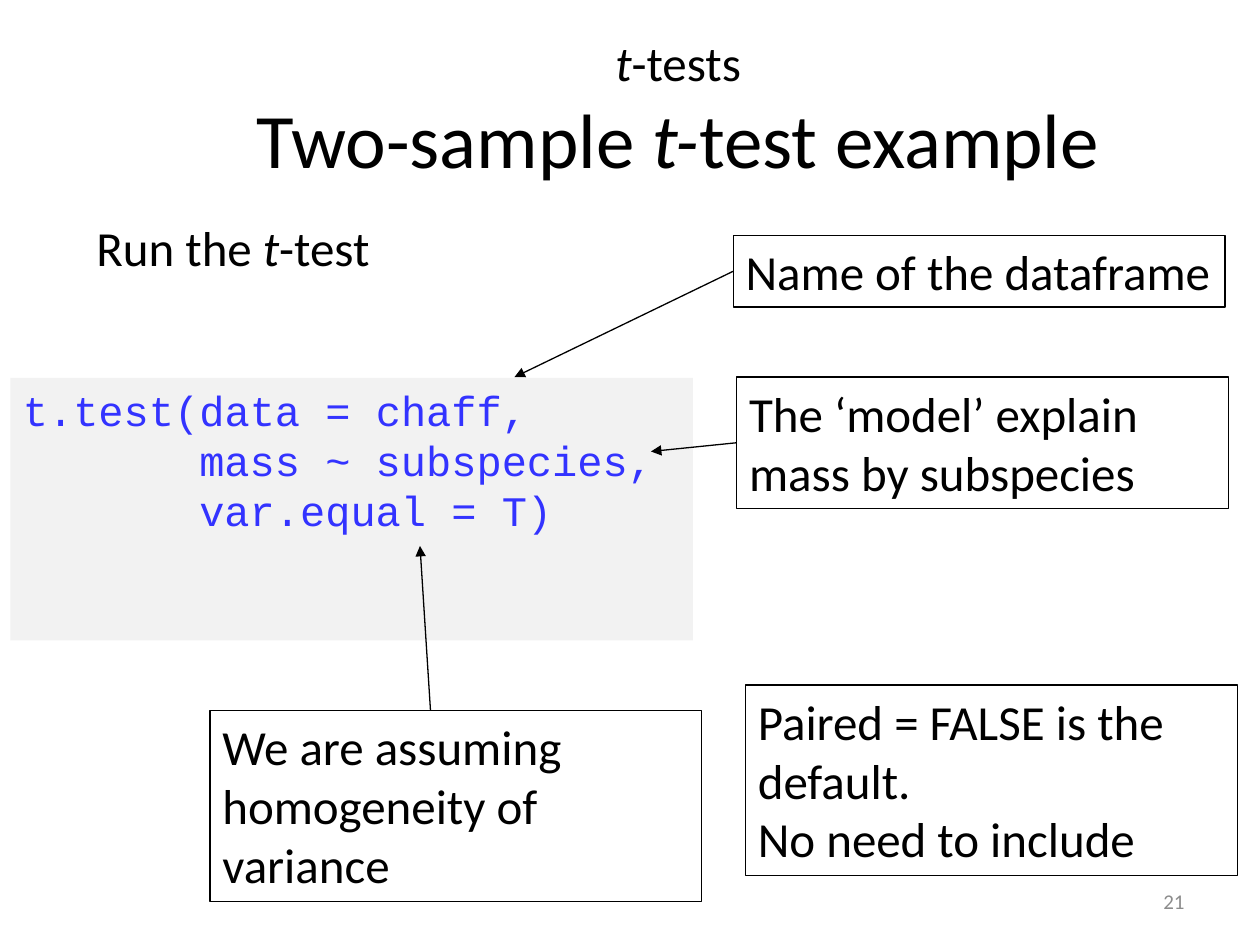
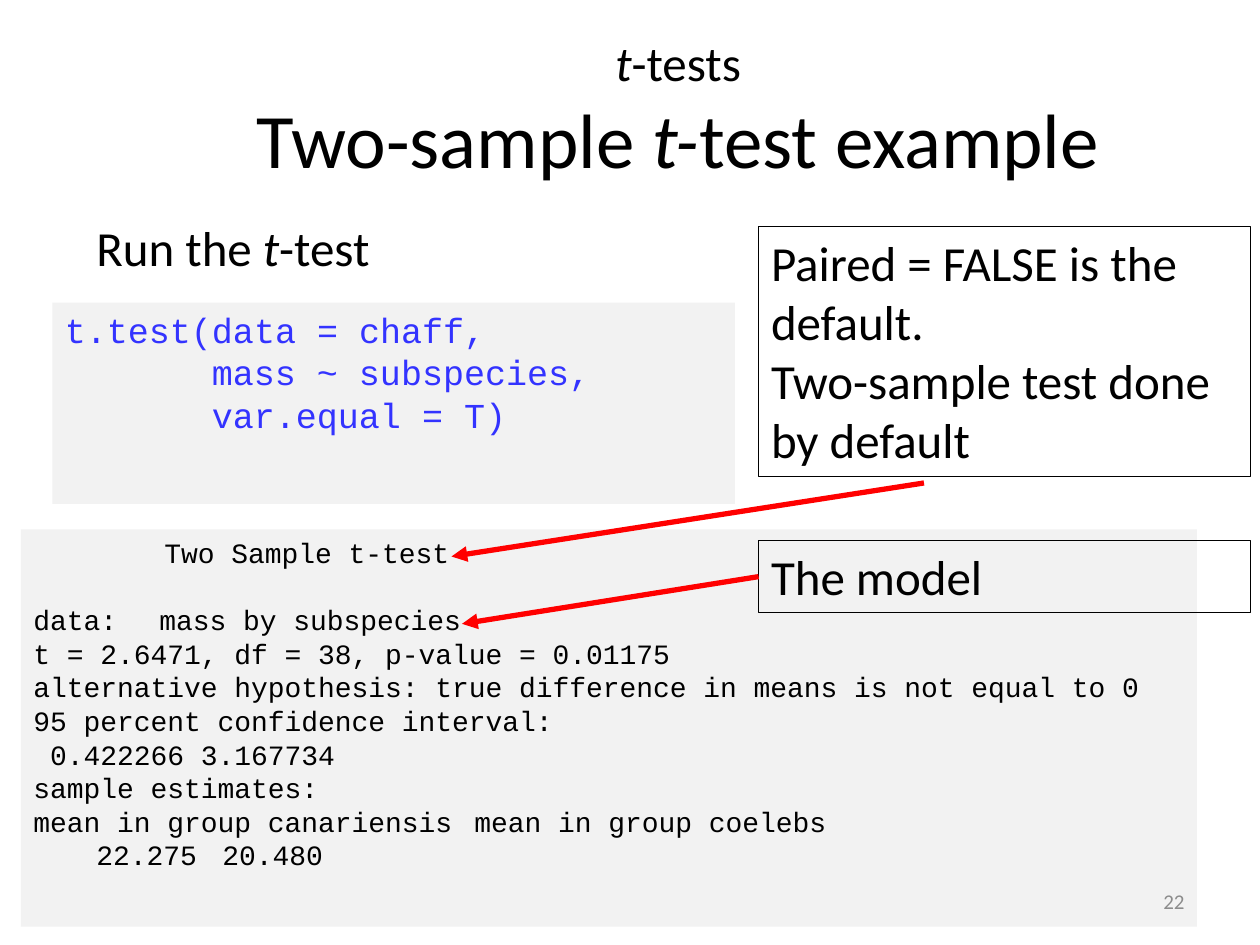
from lxml import etree
from pptx import Presentation
from pptx.dml.color import RGBColor
from pptx.enum import shapes, text
from pptx.oxml import ns
from pptx.util import Pt

BLACK = RGBColor(0x00, 0x00, 0x00)
GREY = RGBColor(0x8C, 0x8C, 0x8C)
PANEL = RGBColor(0xF2, 0xF2, 0xF2)
CODE_BLUE = RGBColor(0x33, 0x33, 0xFF)
RED = RGBColor(0xFF, 0x00, 0x00)
BODY_FONT = "Calibri"
CODE_FONT = "Courier New"
CHAR_WIDTH = 0.6  # Courier advance, as a share of the text size
LINE_PITCH = 1.2
TITLE_SPANS = [("t", 28, True), ("-tests\n", 28, False), ("Two-sample ", 44, False),
               ("t-", 44, True), ("test example", 44, False)]


def add_box(page, at, lines, size=28, font=BODY_FONT, color=BLACK, fill=None, line=None,
            align=text.PP_ALIGN.LEFT, anchor=text.MSO_ANCHOR.TOP):
    """Add a rectangle with one paragraph per line; *stars* mark italics."""
    box = page.shapes.add_shape(shapes.MSO_SHAPE.RECTANGLE, *map(Pt, at))
    box.shadow.inherit = False
    for part, shade in ((box.fill, fill), (box.line.fill, line)):
        if shade is None:
            part.background()
        else:
            part.solid()
            part.fore_color.rgb = shade
    if line is not None:
        box.line.width = Pt(0.75)
    frame = box.text_frame
    frame.word_wrap = True
    frame.vertical_anchor = anchor
    for index, content in enumerate(lines):
        para = frame.paragraphs[0] if index == 0 else frame.add_paragraph()
        para.alignment = align
        for order, piece in enumerate(content.split("*")):
            if piece:
                span = para.add_run()
                span.text = piece
                span.font.name, span.font.size = font, Pt(size)
                span.font.color.rgb = color
                span.font.italic = order % 2 == 1
    return box


def add_arrow(page, start, end, color=BLACK, width=0.75, source=None):
    """Draw an arrow; a source box is joined at its left side."""
    arrow = page.shapes.add_connector(shapes.MSO_CONNECTOR.STRAIGHT, *map(Pt, start + end))
    if source is not None:
        arrow.begin_connect(source, 1)
    arrow.line.color.rgb = color
    arrow.line.width = Pt(width)
    etree.SubElement(arrow.line._get_or_add_ln(), ns.qn("a:tailEnd"), type="triangle")
    etree.SubElement(arrow._element.spPr, ns.qn("a:effectLst"))


# Each line of code is (indent in characters, text)
call_lines = [(0, "t.test(data = chaff,"), (7, "mass ~ subspecies,"), (7, "var.equal = T)")]
result_lines = [
    (7.8, "Two Sample t-test"),
    (0, "data:\tmass by subspecies"),
    (0, "t = 2.6471, df = 38, p-value = 0.01175"),
    (0, "alternative hypothesis: true difference in means is not equal to 0"),
    (0, "95 percent confidence interval:"),
    (1, "0.422266 3.167734"),
    (0, "sample estimates:"),
    (0, "mean in group canariensis\tmean in group coelebs"),
    (0, "\t22.275\t20.480"),
]
RESULT_TABS = (25, 51)  # right edges of the two columns, in characters

# Each panel is (place, lines, text size, colour)
page_panels = {
    21: [((6, 216, 390, 150), call_lines, 24, CODE_BLUE)],
    22: [((12, 302.5, 672, 227), result_lines, 16, BLACK),
         ((30, 173, 390, 115), call_lines, 20, CODE_BLUE)],
}

deck = Presentation()
deck.slide_width, deck.slide_height = Pt(720), Pt(540)

pages = []
for number, panels in page_panels.items():
    page = deck.slides.add_slide(deck.slide_layouts[5])
    pages.append(page)

    title = page.shapes.title
    title.left, title.top, title.width, title.height = Pt(120), Pt(14.4), Pt(535), Pt(94.5)
    title.text_frame.vertical_anchor = text.MSO_ANCHOR.MIDDLE
    para = title.text_frame.paragraphs[0]
    para.alignment = text.PP_ALIGN.CENTER
    for content, size, italic in TITLE_SPANS:
        span = para.add_run()
        span.text = content.rstrip("\n")
        span.font.name, span.font.size, span.font.italic = BODY_FONT, Pt(size), italic
        span.font.color.rgb = BLACK
        if content.endswith("\n"):
            para.add_line_break()

    for place, lines, size, color in panels:
        panel = add_box(page, place, [content for _, content in lines], size=size,
                        font=CODE_FONT, color=color, fill=PANEL)
        char = size * CHAR_WIDTH
        for para, (indent, content) in zip(panel.text_frame.paragraphs, lines):
            para.line_spacing = Pt(size * LINE_PITCH)
            if content == "Two Sample t-test":
                para.space_after = Pt(size * LINE_PITCH)
            props = para._p.get_or_add_pPr()
            props.set("marL", str(Pt(indent * char)))
            props.set("indent", "0")
            if "\t" in content:
                stops = etree.SubElement(props, ns.qn("a:tabLst"))
                for column in RESULT_TABS:
                    etree.SubElement(stops, ns.qn("a:tab"), pos=str(Pt(column * char)), algn="r")

    add_box(page, (516, 500.5, 168, 28.75), [str(number)], size=12, color=GREY,
            align=text.PP_ALIGN.RIGHT, anchor=text.MSO_ANCHOR.MIDDLE)
    add_box(page, (48, 121, 654, 41), ["Run the *t*-test"])

call_page, result_page = pages

# Arguments of the call
data_note = add_box(call_page, (419, 134.5, 281, 41), ["Name of the dataframe"], line=BLACK)
model_note = add_box(call_page, (421, 215.5, 281, 75),
                     ["The ‘model’ explain mass by subspecies"], line=BLACK)
add_box(call_page, (426, 391.5, 281, 109),
        ["Paired = FALSE is the default.", "No need to include"], line=BLACK)
add_box(call_page, (120, 406, 281, 109),
        ["We are assuming homogeneity of variance"], line=BLACK)
add_arrow(call_page, (419, 155), (294, 215.5), source=data_note)
add_arrow(call_page, (421, 253), (372, 258), source=model_note)
add_arrow(call_page, (246, 406), (240, 312))

# Reading the result
add_box(result_page, (433.5, 129.5, 281, 143),
        ["Paired = FALSE is the default.", "Two-sample test done by default"], line=BLACK)
add_arrow(result_page, (528, 276), (258, 318), color=RED, width=3)
result_note = add_box(result_page, (433.5, 309, 281, 41), ["The model"], line=BLACK)
add_arrow(result_page, (433.5, 329.5), (264, 356.5), color=RED, width=3, source=result_note)

deck.save("out.pptx")
